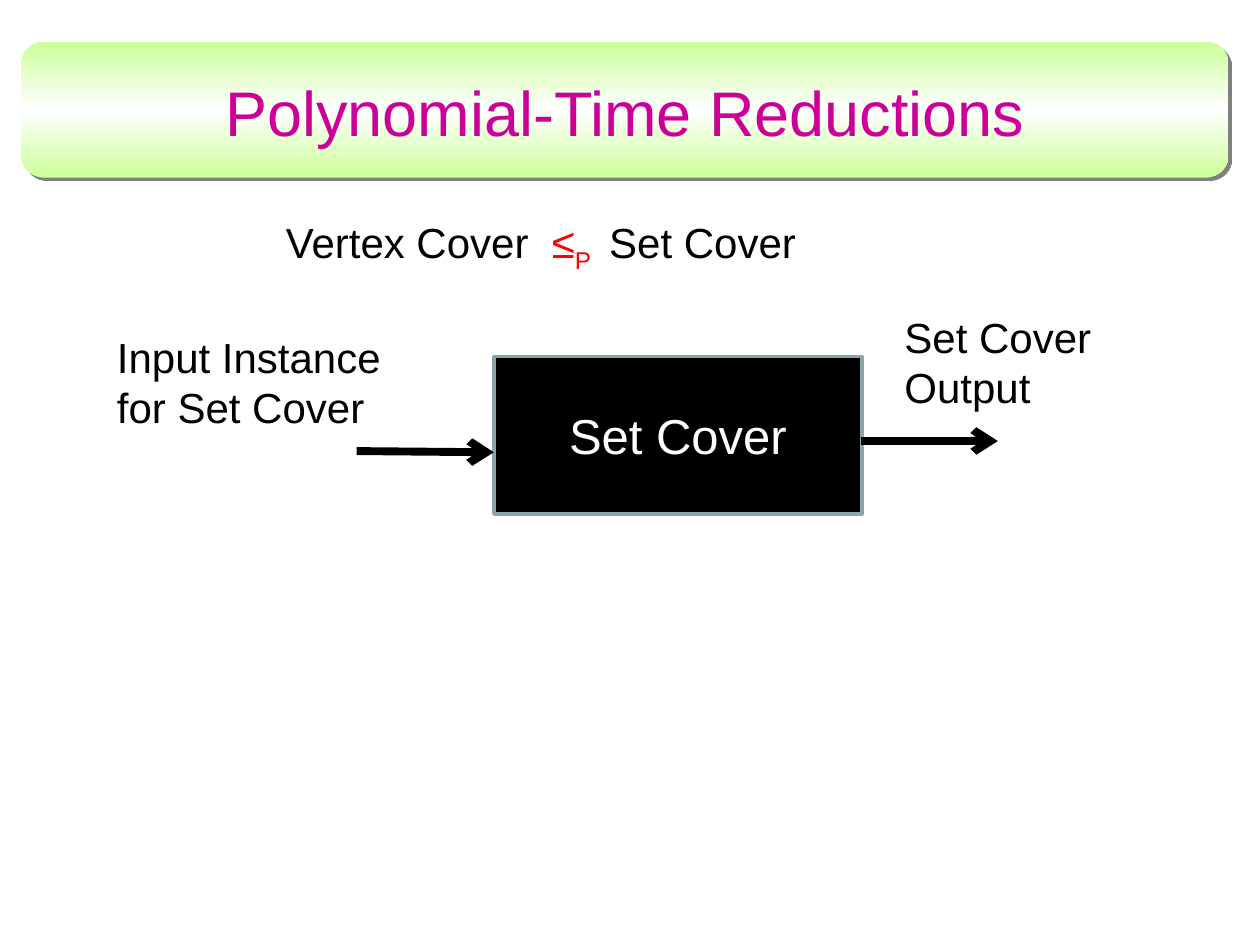
from lxml.etree import SubElement
from pptx import Presentation
from pptx.dml.color import RGBColor as Rgb
from pptx.enum.shapes import MSO_CONNECTOR as Link, MSO_SHAPE as Form
from pptx.enum.text import MSO_ANCHOR as Anchor, PP_ALIGN as Align
from pptx.oxml.ns import qn
from pptx.util import Inches, Pt

COLORS = {
    "title": "CC0099",
    "lime": "CCFF99",
    "white": "FFFFFF",
    "black": "000000",
    "red": "FF0000",
    "edge": "8AA6A8",
    "shadow": "808080",
}


def color(name):
    return Rgb.from_string(COLORS[name])


def add_color(parent, name):
    SubElement(parent, qn("a:srgbClr"), val=COLORS[name])


class Page:
    """Holds the text style and the current slide, and draws each kind of element."""

    def __init__(self, slide, font="Arial"):
        self.slide = slide
        self.font = font

    def fill_text(self, box, lines, size, align=Align.LEFT, anchor=Anchor.TOP, wrap=True):
        frame = box.text_frame
        for name, value in {"word_wrap": wrap, "vertical_anchor": anchor}.items():
            setattr(frame, name, value)
        for index, spans in enumerate(lines):
            para = frame.paragraphs[0] if index == 0 else frame.add_paragraph()
            para.alignment = align
            for text, tint, baseline in spans:
                span = para.add_run()
                span.text = text
                for name, value in {"name": self.font, "size": Pt(size)}.items():
                    setattr(span.font, name, value)
                span.font.color.rgb = color(tint)
                if baseline:
                    span.font._element.set("baseline", str(baseline * 1000))

    def text(self, place, lines, size, **layout):
        box = self.slide.shapes.add_textbox(*map(Inches, place))
        self.fill_text(box, lines, size, **layout)

    def banner(self, place):
        box = self.slide.shapes.add_shape(Form.ROUNDED_RECTANGLE, *map(Inches, place))
        box.line.fill.background()
        box.fill.gradient()
        box.fill.gradient_angle = 90
        stops = box._element.spPr.find(".//" + qn("a:gsLst"))
        stops.clear()
        for position, name in ((0, "lime"), (50, "white"), (100, "lime")):
            add_color(SubElement(stops, qn("a:gs"), pos=str(position * 1000)), name)
        box.shadow.inherit = False
        effects = box._element.spPr.find(qn("a:effectLst"))
        shadow = SubElement(effects, qn("a:outerShdw"), dist=str(Pt(2.8)),
                            dir=str(45 * 60000), algn="ctr", rotWithShape="0")
        add_color(shadow, "shadow")

    def block(self, place, label, size):
        box = self.slide.shapes.add_shape(Form.RECTANGLE, *map(Inches, place))
        box.shadow.inherit = False
        box.fill.solid()
        box.fill.fore_color.rgb = color("black")
        box.line.color.rgb = color("edge")
        box.line.width = Pt(2)
        self.fill_text(box, [[(label, "white", 0)]], size, Align.CENTER, Anchor.MIDDLE)

    def arrow(self, start, end):
        line = self.slide.shapes.add_connector(Link.STRAIGHT, *map(Inches, start + end))
        line.line.color.rgb = color("black")
        line.line.width = Pt(4.5)
        properties = line._element.spPr
        SubElement(properties.find(qn("a:ln")), qn("a:tailEnd"), type="arrow")
        SubElement(properties, qn("a:effectLst"))


def main():
    deck = Presentation()
    deck.slide_width, deck.slide_height = Inches(10), Inches(7.5)
    page = Page(deck.slides.add_slide(deck.slide_layouts[6]))

    page.banner((0.17, 0.33, 9.58, 1.08))
    page.text((0.17, 0.42, 9.58, 0.92), [[("Polynomial-Time Reductions", "title", 0)]],
              36, align=Align.CENTER, anchor=Anchor.MIDDLE)

    reduction = [("Vertex Cover ", "black", 0), (" ≤", "red", 0),
                 ("P ", "red", -25), (" Set Cover", "black", 0)]
    page.text((2.17, 1.67, 4.32, 0.5), [reduction], 24, wrap=False)

    page.block((3.92, 2.83, 2.92, 1.25), "Set Cover", 28)
    page.arrow((2.83, 3.58), (3.92, 3.59))
    page.arrow((6.83, 3.5), (7.92, 3.5))

    input_lines = [[(line, "black", 0)] for line in ("Input Instance", "for Set Cover")]
    page.text((0.83, 2.58, 2.32, 0.91), input_lines, 24, wrap=False)
    page.text((7.08, 2.42, 2, 0.91), [[("Set Cover Output", "black", 0)]], 24)

    deck.save("out.pptx")


if __name__ == "__main__":
    main()
